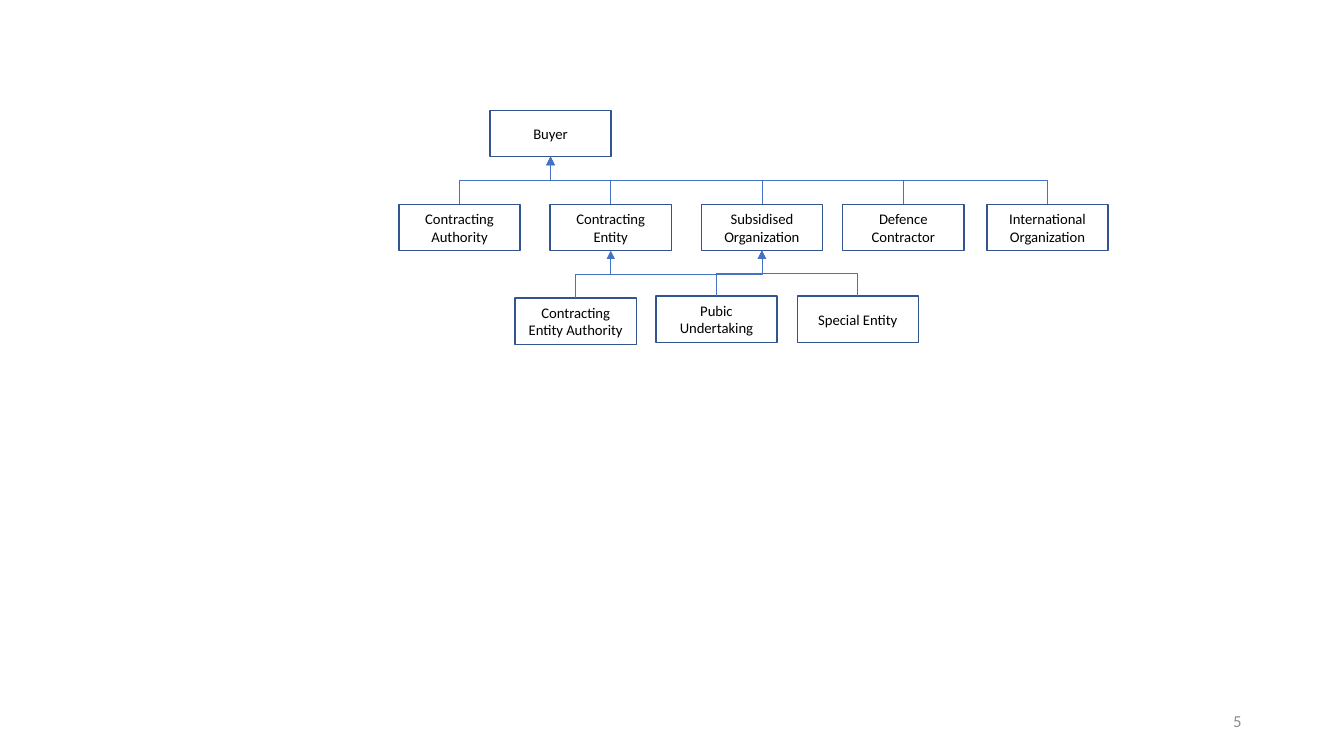
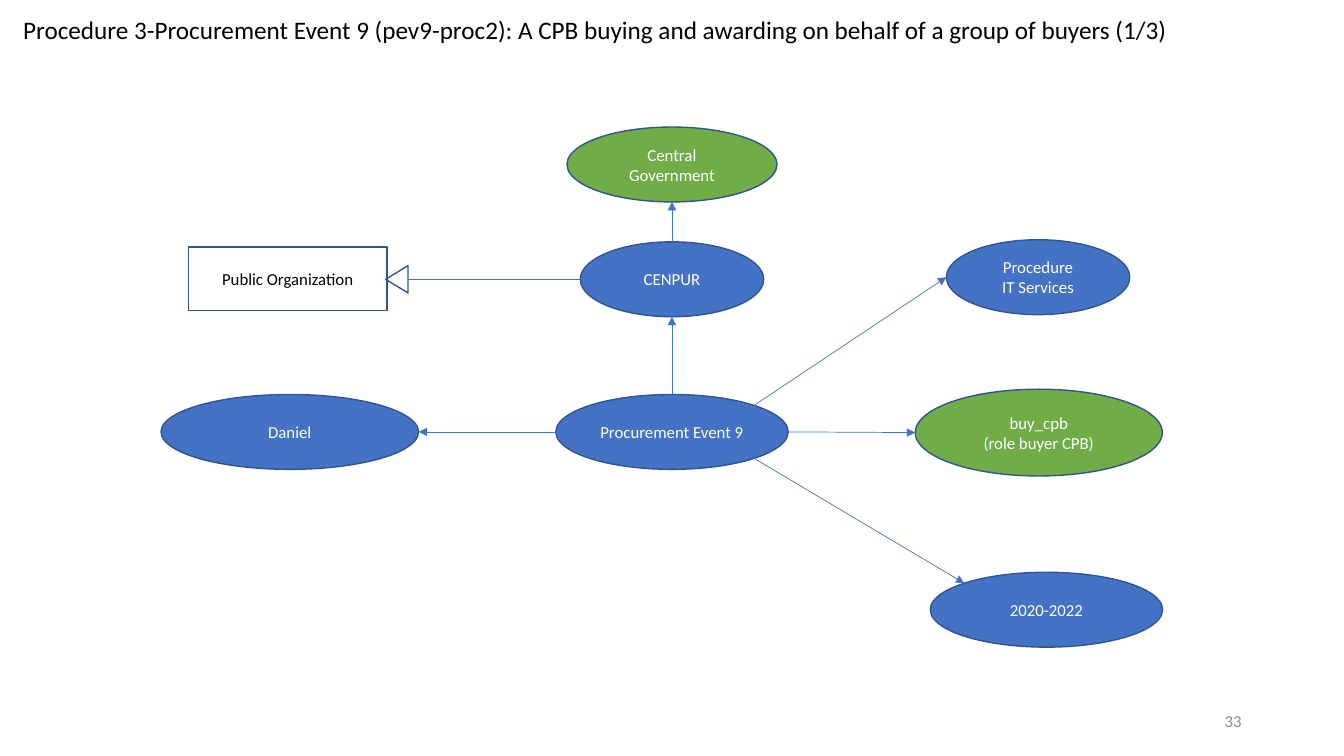
from dataclasses import dataclass
from math import sqrt

from lxml import etree
from pptx import Presentation
from pptx.dml.color import RGBColor
from pptx.enum.shapes import MSO_CONNECTOR, MSO_SHAPE
from pptx.enum.text import MSO_ANCHOR, MSO_AUTO_SIZE, PP_ALIGN
from pptx.oxml.ns import qn
from pptx.util import Pt

RECT, OVAL, TRIANGLE = MSO_SHAPE.RECTANGLE, MSO_SHAPE.OVAL, MSO_SHAPE.ISOSCELES_TRIANGLE
STRAIGHT, ELBOW = MSO_CONNECTOR.STRAIGHT, MSO_CONNECTOR.ELBOW
LEFT, CENTER, RIGHT = PP_ALIGN.LEFT, PP_ALIGN.CENTER, PP_ALIGN.RIGHT
TOP, MIDDLE = MSO_ANCHOR.TOP, MSO_ANCHOR.MIDDLE
FIT, NO_FIT = MSO_AUTO_SIZE.SHAPE_TO_FIT_TEXT, MSO_AUTO_SIZE.NONE


@dataclass(frozen=True)
class Theme:
    font: str = "Calibri"
    blue: str = "4472C4"
    green: str = "70AD47"
    outline: str = "325491"
    dark: str = "000000"
    light: str = "FFFFFF"
    gray: str = "8C8C8C"
    title: float = 18
    body: float = 12
    small: float = 10.5
    border: float = 1
    link: float = 0.5


T = Theme()

# Content: class tree, name: (left, top)
BOX_W, BOX_H = 86.5, 33
CLASSES = {
    "Buyer": (350, 79),
    "Contracting Authority": (285, 146),
    "Contracting Entity": (393, 146),
    "Subsidised Organization": (501, 146),
    "Defence Contractor": (602, 146),
    "International Organization": (705, 146),
    "Contracting Entity Authority": (368, 213),
    "Pubic Undertaking": (468.5, 211.5),
    "Special Entity": (569.5, 211.5),
}
SUBCLASSES = {
    "Buyer": ["Contracting Authority", "Contracting Entity", "Subsidised Organization",
              "Defence Contractor", "International Organization"],
    "Contracting Entity": ["Contracting Entity Authority"],
    "Subsidised Organization": ["Contracting Entity Authority", "Pubic Undertaking",
                                "Special Entity"],
}

# Content: procurement event, key: (lines, centre x, centre y, width, height, fill)
TITLE = ("Procedure 3-Procurement Event 9 (pev9-proc2): "
         "A CPB buying and awarding on behalf of a group of buyers (1/3)")
NODES = {
    "government": (["Central Government"], 480, 117.5, 150, 53.5, T.green),
    "agency": (["CENPUR"], 480, 199.5, 131, 53.5, T.blue),
    "event": (["Procurement Event 9"], 480, 308.5, 166, 53.5, T.blue),
    "person": (["Daniel"], 207, 308.5, 184, 53.5, T.blue),
    "procedure": (["Procedure", "IT Services"], 741.5, 198, 131, 53.5, T.blue),
    "role": (["buy_cpb", "(role buyer CPB)"], 742, 309, 176.5, 62, T.green),
    "period": (["2020-2022"], 747.5, 435.5, 166, 53.5, T.blue),
}
LINKS = [
    ("agency", "top", "government", "bottom"),
    ("event", "top", "agency", "bottom"),
    ("event", "left", "person", "right"),
    ("event", "right", "role", "left"),
    ("event", "top right", "procedure", "left"),
    ("event", "bottom right", "period", "top left"),
]
STEPS = {"top": (0, -1), "bottom": (0, 1), "left": (-1, 0), "right": (1, 0)}


# Drawing helpers
def write(tf, lines, size, color, align=CENTER, anchor=MIDDLE, wrap=True, fit=NO_FIT):
    frame = {"word_wrap": wrap, "auto_size": fit, "vertical_anchor": anchor}
    for name, value in frame.items():
        setattr(tf, name, value)
    for i, line in enumerate(lines):
        p = tf.paragraphs[0] if i == 0 else tf.add_paragraph()
        p.alignment = align
        r = p.add_run()
        r.text = line
        for name, value in {"name": T.font, "size": Pt(size)}.items():
            setattr(r.font, name, value)
        r.font.color.rgb = RGBColor.from_string(color)


def add_text(s, box, lines, size, color, **frame):
    sp = s.shapes.add_textbox(*map(Pt, box))
    write(sp.text_frame, lines, size, color, **frame)


def add_node(s, kind, box, fill=None):
    sp = s.shapes.add_shape(kind, *map(Pt, box))
    sp.shadow.inherit = False
    if fill:
        sp.fill.solid()
        sp.fill.fore_color.rgb = RGBColor.from_string(fill)
    else:
        sp.fill.background()
    sp.line.color.rgb = RGBColor.from_string(T.outline)
    sp.line.width = Pt(T.border)
    return sp


def add_link(s, kind, start, end, arrow=True):
    c = s.shapes.add_connector(kind, *map(Pt, (*start, *end)))
    c.line.color.rgb = RGBColor.from_string(T.blue)
    c.line.width = Pt(T.link)
    if arrow:
        ln = c.element.spPr.find(qn("a:ln"))
        etree.SubElement(ln, qn("a:tailEnd"), type="triangle")
    etree.SubElement(c.element.spPr, qn("a:effectLst"))
    return c


def add_tree_link(s, child, parent):
    """Elbow that leaves the child's top and enters the parent's bottom."""
    c = add_link(s, ELBOW, (0, 0), (0, 0))
    c.begin_connect(child, 0)
    c.end_connect(parent, 2)
    x1, y1, x2, y2 = c.begin_x, c.begin_y, c.end_x, c.end_y
    run, rise = abs(x2 - x1), y1 - y2
    c.left, c.top = (x1 + x2 - rise) // 2, (y1 + y2 - run) // 2
    c.width, c.height = rise, run
    # A quarter turn makes the elbow start vertically
    xfrm = c.element.spPr.find(qn("a:xfrm"))
    for name, value in {"rot": "16200000", "flipH": "0", "flipV": str(int(x2 < x1))}.items():
        xfrm.set(name, value)


def edge_point(key, side):
    _, cx, cy, w, h, _ = NODES[key]
    steps = [STEPS[word] for word in side.split()]
    scale = 2 * sqrt(len(steps))
    return (cx + w * sum(x for x, _ in steps) / scale,
            cy + h * sum(y for _, y in steps) / scale)


def add_slide(prs, number):
    s = prs.slides.add_slide(prs.slide_layouts[6])
    add_text(s, (678, 500.5, 216, 28.5), [number], T.body, T.gray, align=RIGHT)
    return s


# Slides
def class_tree(prs):
    s = add_slide(prs, "5")
    boxes = {}
    for name, (x, y) in CLASSES.items():
        boxes[name] = add_node(s, RECT, (x, y, BOX_W, BOX_H))
        write(boxes[name].text_frame, [name], T.small, T.dark)
    for parent, children in SUBCLASSES.items():
        for child in children:
            add_tree_link(s, boxes[child], boxes[parent])


def procurement_event(prs):
    s = add_slide(prs, "33")
    add_text(s, (9.5, 6.5, 842, 29), [TITLE], T.title, T.dark,
             align=LEFT, anchor=TOP, wrap=False, fit=FIT)

    for lines, cx, cy, w, h, fill in NODES.values():
        sp = add_node(s, OVAL, (cx - w / 2, cy - h / 2, w, h), fill)
        write(sp.text_frame, lines, T.body, T.light)
    for source, source_side, target, target_side in LINKS:
        add_link(s, STRAIGHT, edge_point(source, source_side), edge_point(target, target_side))

    # Superclass with its open arrowhead
    sp = add_node(s, RECT, (134.5, 176.5, 142, 45.5))
    write(sp.text_frame, ["Public Organization"], T.body, T.dark)
    start = edge_point("agency", "left")
    cx, base, depth = 283.5, 19.5, 16
    head = add_node(s, TRIANGLE, (cx - base / 2, start[1] - depth / 2, base, depth))
    head.rotation = 270
    add_link(s, STRAIGHT, start, (cx + depth / 2, start[1]), arrow=False)


def main():
    prs = Presentation()
    prs.slide_width, prs.slide_height = Pt(960), Pt(540)
    class_tree(prs)
    procurement_event(prs)
    prs.save("out.pptx")


if __name__ == "__main__":
    main()
